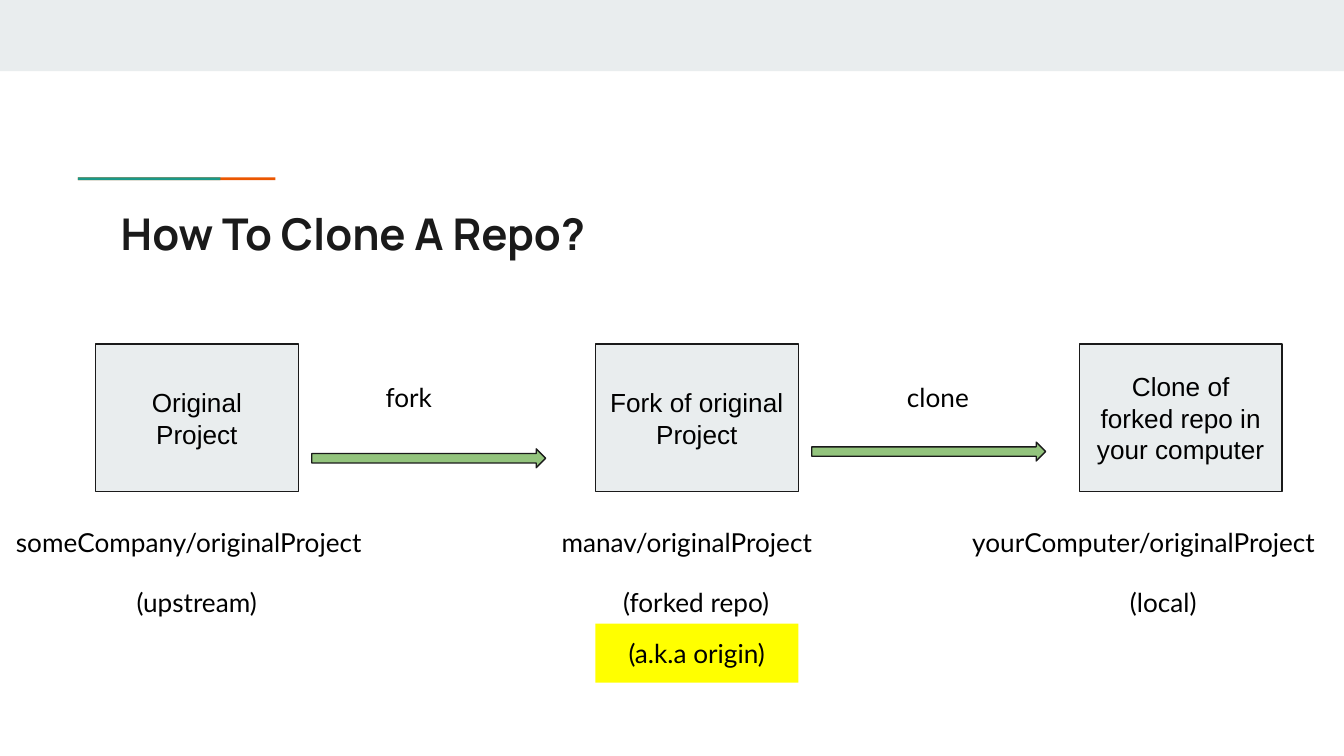
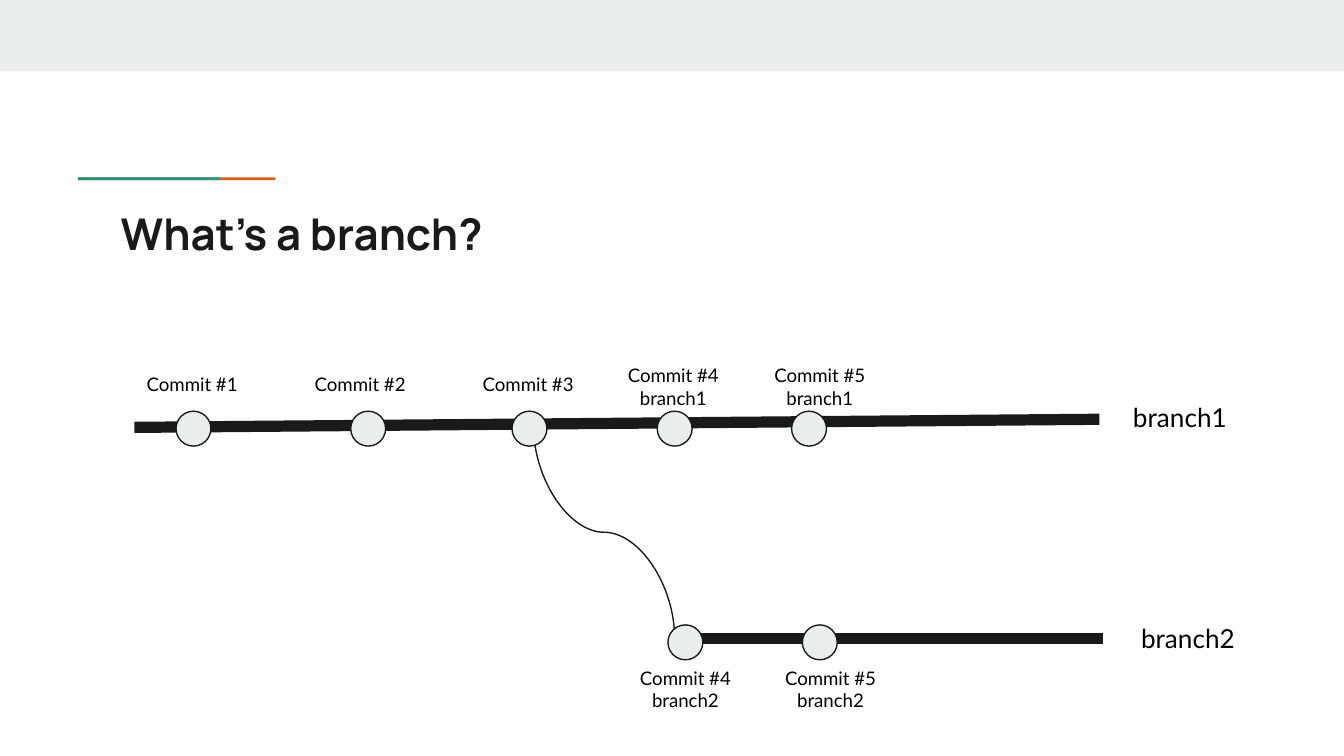
from dataclasses import dataclass

from lxml import etree
from pptx import Presentation
from pptx.dml.color import RGBColor
from pptx.enum.shapes import MSO_CONNECTOR, MSO_SHAPE
from pptx.enum.text import MSO_ANCHOR, MSO_AUTO_SIZE, PP_ALIGN
from pptx.oxml.ns import qn
from pptx.util import Inches, Pt

RECT, OVAL, ARROW = MSO_SHAPE.RECTANGLE, MSO_SHAPE.OVAL, MSO_SHAPE.RIGHT_ARROW
STRAIGHT, CURVE = MSO_CONNECTOR.STRAIGHT, MSO_CONNECTOR.CURVE
LEFT, CENTER = PP_ALIGN.LEFT, PP_ALIGN.CENTER
TOP, MIDDLE = MSO_ANCHOR.TOP, MSO_ANCHOR.MIDDLE
GROW, FIXED = MSO_AUTO_SIZE.SHAPE_TO_FIT_TEXT, MSO_AUTO_SIZE.NONE
QUARTER_TURN = "5400000"


@dataclass(frozen=True)
class Theme:
    ink: str = "1A1A1A"
    text: str = "000000"
    pale: str = "E9EDEE"
    teal: str = "1A9988"
    orange: str = "EB5600"
    green: str = "93C47D"
    yellow: str = "FFFF00"
    title_font: str = "Manrope"
    label_font: str = "Lato"
    box_font: str = "Arial"
    title_size: float = 23.4
    body_size: float = 14
    small_size: float = 10
    thin: float = 0.75
    thick: float = 6


@dataclass(frozen=True)
class Box:
    left: float
    top: float
    width: float
    height: float

    def inside(self, left, top, width, height):
        """Return a box placed relative to this one's top left corner."""
        return Box(self.left + left, self.top + top, width, height)

    def lengths(self):
        return [Inches(n) for n in (self.left, self.top, self.width, self.height)]


THEME = Theme()
SLIDE = Box(0, 0, 10, 10 * 9 / 16)
LABEL_HEIGHT = 0.44
DOT = 0.26


def write(shape, text, font=THEME.label_font, size=THEME.body_size,
          color=THEME.text, bold=False, align=CENTER, anchor=TOP, fit=GROW):
    frame = shape.text_frame
    frame.word_wrap = True
    frame.auto_size = fit
    frame.vertical_anchor = anchor
    frame.margin_left = frame.margin_right = Inches(0.1)
    frame.margin_top = frame.margin_bottom = Inches(0.1)
    for index, line in enumerate(text.split("\n")):
        para = frame.add_paragraph() if index else frame.paragraphs[0]
        para.alignment = align
        span = para.add_run()
        span.text = line
        span.font.name = font
        span.font.size = Pt(size)
        span.font.bold = bold
        span.font.color.rgb = RGBColor.from_string(color)


def add_label(page, box, text, **style):
    write(page.shapes.add_textbox(*box.lengths()), text, **style)


def add_figure(page, kind, box, fill, outlined=True):
    shape = page.shapes.add_shape(kind, *box.lengths())
    shape.shadow.inherit = False
    shape.fill.solid()
    shape.fill.fore_color.rgb = RGBColor.from_string(fill)
    if outlined:
        shape.line.color.rgb = RGBColor.from_string(THEME.ink)
        shape.line.width = Pt(THEME.thin)
    else:
        shape.line.fill.background()
    return shape


def add_line(page, kind, start, end, weight):
    line = page.shapes.add_connector(kind, *[Inches(n) for n in (*start, *end)])
    line.line.color.rgb = RGBColor.from_string(THEME.ink)
    line.line.width = Pt(weight)
    etree.SubElement(line._element.spPr, qn("a:effectLst"))
    return line


def add_upright_curve(page, start, end):
    """Draw an S curve that leaves and arrives vertically, by turning a level one."""
    middle_x, middle_y = (start[0] + end[0]) / 2, (start[1] + end[1]) / 2
    half_width, half_height = (start[1] - end[1]) / 2, (start[0] - end[0]) / 2
    curve = add_line(page, CURVE,
                     (middle_x + half_width, middle_y - half_height),
                     (middle_x - half_width, middle_y + half_height), THEME.thin)
    curve._element.spPr.find(qn("a:xfrm")).set("rot", QUARTER_TURN)


def add_page(deck, title):
    page = deck.slides.add_slide(deck.slide_layouts[6])
    add_figure(page, RECT, SLIDE.inside(0, 0, SLIDE.width, 0.53), THEME.pale, False)
    accent = SLIDE.inside(0.58, 1.32, 1.47, 0.02)
    add_figure(page, RECT, accent, THEME.orange, False)
    add_figure(page, RECT, accent.inside(0, 0, 1.06, 0.02), THEME.teal, False)
    add_label(page, SLIDE.inside(0.8, 1.44, 8.41, 0.59), title,
              font=THEME.title_font, size=THEME.title_size, color=THEME.ink,
              bold=True, align=LEFT, fit=FIXED)
    return page


def add_stage(page, box, name, captions):
    """Draw a repository box; captions are (text, left offset, width, align) below it."""
    write(add_figure(page, RECT, box, THEME.pale), name,
          font=THEME.box_font, anchor=MIDDLE, fit=FIXED)
    for row, (text, left, width, align) in enumerate(captions):
        place = box.inside(left, 1.26 + row * LABEL_HEIGHT, width, LABEL_HEIGHT)
        add_label(page, place, text, align=align)


def add_step(page, box, action, label):
    add_figure(page, ARROW, box, THEME.green)
    add_label(page, label, action, align=LEFT)


def add_track(page, box, name, name_box, rise=0):
    add_line(page, STRAIGHT, (box.left, box.top),
             (box.left + box.width, box.top - rise), THEME.thick)
    add_label(page, name_box, name)


def add_commits(page, row, commits, label_offsets):
    """Place dots along a row; label_offsets gives the label top by line count."""
    for text, dot_left, label_left, lines in commits:
        place = row.inside(label_left, label_offsets[lines], 0.9, 0.2 + 0.17 * lines)
        add_label(page, place, text, size=THEME.small_size)
        add_figure(page, OVAL, row.inside(dot_left, 0, DOT, DOT), THEME.pale)


def build_clone_page(deck):
    page = add_page(deck, "How To Clone A Repo?")
    stages = [
        (0.71, "Original Project",
         [("someCompany/originalProject", -0.69, 3.05, LEFT),
          ("(upstream)", 0.12, 1.27, CENTER)]),
        (4.43, "Fork of original Project",
         [("manav/originalProject", -0.35, 2.14, LEFT),
          ("(forked repo)", 0.08, 1.34, CENTER)]),
        (8.03, "Clone of forked repo in your computer",
         [("yourComputer/originalProject", -1.01, 2.98, CENTER),
          ("(local)", 0.25, 0.75, CENTER)]),
    ]
    for left, name, captions in stages:
        add_stage(page, SLIDE.inside(left, 2.56, 1.51, 1.1), name, captions)
    steps = [("fork", 2.32, 3.34, 2.77, 0.62), ("clone", 6.04, 3.29, 6.65, 0.68)]
    for action, left, top, label_left, label_width in steps:
        add_step(page, SLIDE.inside(left, top, 1.74, 0.14), action,
                 SLIDE.inside(label_left, 2.74, label_width, LABEL_HEIGHT))
    alias = SLIDE.inside(4.43, 4.64, 1.51, LABEL_HEIGHT)
    write(add_figure(page, RECT, alias, THEME.yellow, False), "(a.k.a origin)")


def build_branch_page(deck):
    page = add_page(deck, "What’s a branch?")
    add_track(page, SLIDE.inside(1, 3.18, 7.18, 0), "branch1",
              SLIDE.inside(8.3, 2.89, 0.96, LABEL_HEIGHT), rise=0.06)
    add_track(page, SLIDE.inside(5, 4.75, 3.21, 0), "branch2",
              SLIDE.inside(8.36, 4.53, 0.96, LABEL_HEIGHT))
    add_upright_curve(page, (5.02, 4.75), (3.97, 3.17))
    # Each commit: text, dot left, label left, number of lines.
    add_commits(page, SLIDE.inside(0, 3.06, SLIDE.width, DOT), [
        ("Commit #1", 1.31, 0.98, 1),
        ("Commit #2", 2.61, 2.23, 1),
        ("Commit #3", 3.81, 3.48, 1),
        ("Commit #4 branch1", 4.89, 4.56, 2),
        ("Commit #5\nbranch1", 5.89, 5.65, 2),
    ], {1: -0.37, 2: -0.45})
    add_commits(page, SLIDE.inside(0, 4.65, SLIDE.width, DOT), [
        ("Commit #4\nbranch2", 4.97, 4.65, 2),
        ("Commit #5\nbranch2", 5.97, 5.73, 2),
    ], {2: 0.21})


def main():
    deck = Presentation()
    deck.slide_width, deck.slide_height = Inches(SLIDE.width), Inches(SLIDE.height)
    build_clone_page(deck)
    build_branch_page(deck)
    deck.save("out.pptx")


if __name__ == "__main__":
    main()
